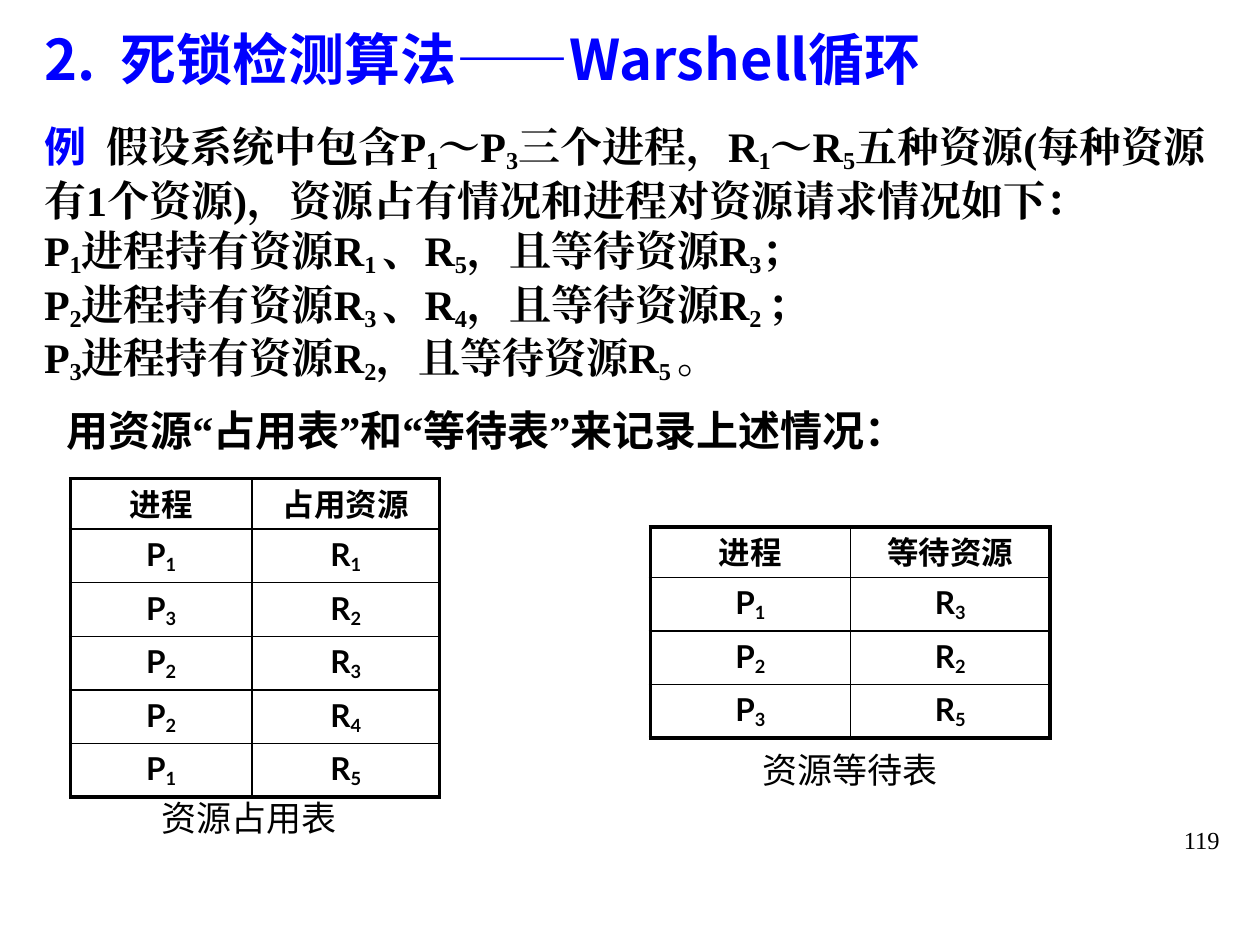
from lxml.etree import SubElement
from pptx import Presentation
from pptx.dml.color import RGBColor
from pptx.enum.text import MSO_ANCHOR, PP_ALIGN
from pptx.oxml.ns import qn
from pptx.util import Cm, Pt

BLACK = "000000"
BLUE = "0000FF"
SERIF = "Times New Roman"
SANS = "Lato"
HEADING = "Noto Sans CJK SC"
SUBSCRIPT = {"baseline": -16000}


def color(value):
    return RGBColor.from_string(value)


def add_run(paragraph, text, font=SANS, size=18, fill=BLACK, bold=False, baseline=0):
    run = paragraph.add_run()
    run.text = text
    run.font.name = font
    run.font.size = Pt(size)
    run.font.bold = bold
    run.font.color.rgb = color(fill)
    properties = run._r.get_or_add_rPr()
    SubElement(properties, qn("a:ea")).set("typeface", font)
    if baseline:
        properties.set("baseline", str(baseline))


def write(frame, lines, lead="", align=PP_ALIGN.LEFT, marked=SUBSCRIPT, **style):
    """Every second piece between bars takes the marked format."""
    for number, line in enumerate(lines):
        paragraph = frame.paragraphs[0] if number == 0 else frame.add_paragraph()
        paragraph.alignment = align
        if lead and number == 0:
            add_run(paragraph, lead, **{**style, "font": SANS, "fill": BLUE})
        for index, piece in enumerate(line.split("|")):
            if piece:
                add_run(paragraph, piece, **{**style, **(marked if index % 2 else {})})


def add_text(slide, left, top, width, height, lines, anchor=MSO_ANCHOR.TOP, **style):
    frame = slide.shapes.add_textbox(Cm(left), Cm(top), Cm(width), Cm(height)).text_frame
    frame.word_wrap = True
    frame.vertical_anchor = anchor
    write(frame, lines, **style)


def set_borders(cell, widths):
    properties = cell._tc.get_or_add_tcPr()
    for position, (side, width) in enumerate(widths.items()):
        line = SubElement(properties, qn(f"a:{side}"), w=str(Pt(width)))
        fill = SubElement(line, qn("a:solidFill"))
        SubElement(fill, qn("a:srgbClr"), val=BLACK)
        properties.remove(line)
        properties.insert(position, line)


def add_resource_table(slide, left, top, column_widths, rows):
    header_height, body_height = 1.0, 1.08
    height = header_height + body_height * (len(rows) - 1)
    table = slide.shapes.add_table(
        len(rows), 2, Cm(left), Cm(top), Cm(sum(column_widths)), Cm(height)
    ).table
    table.first_row = False
    table.horz_banding = False
    for column, width in zip(table.columns, column_widths):
        column.width = Cm(width)
    for r, entries in enumerate(rows):
        table.rows[r].height = Cm(body_height if r else header_height)
        for c, entry in enumerate(entries):
            cell = table.cell(r, c)
            cell.fill.background()
            write(cell.text_frame, [entry], align=PP_ALIGN.CENTER, bold=True)
            outer = {"lnL": c == 0, "lnR": c == 1, "lnT": r == 0, "lnB": r == len(rows) - 1}
            set_borders(cell, {side: 2.25 if edge else 1 for side, edge in outer.items()})


def main():
    presentation = Presentation()
    presentation.slide_width = Cm(25.4)
    presentation.slide_height = Cm(19.05)
    slide = presentation.slides.add_slide(presentation.slide_layouts[6])

    add_text(slide, 19.56, 16.08, 5.28, 1.27, ["119"], anchor=MSO_ANCHOR.BOTTOM,
             align=PP_ALIGN.RIGHT, font=SERIF, size=14)
    add_text(slide, 0.64, 0.56, 23.95, 1.42, ["2.  死锁检测算法——Warshell循环"],
             anchor=MSO_ANCHOR.BOTTOM, font=HEADING, size=32, fill=BLUE, bold=True)
    example = [
        "假设系统中包含P|1|～P|3|三个进程，R|1|～R|5|五种资源(每种资源有1个资源)，"
        "资源占有情况和进程对资源请求情况如下：",
        "P|1|进程持有资源R|1 |、R|5|，且等待资源R|3|；",
        "P|2|进程持有资源R|3 |、R|4|，且等待资源R|2 |；",
        "P|3|进程持有资源R|2|，且等待资源R|5 |。",
    ]
    add_text(slide, 0.64, 2.31, 24.31, 5.38, example, lead="例  ",
             font=SERIF, size=24, bold=True)
    add_text(slide, 1.09, 8.03, 22.1, 1.27,
             ["用资源|“|占用表|”|和|“|等待表|”|来记录上述情况："],
             marked={"font": SERIF}, size=24, bold=True)

    holdings = [("进程", "占用资源"), ("P|1", "R|1"), ("P|3", "R|2"),
                ("P|2", "R|3"), ("P|2", "R|4"), ("P|1", "R|5")]
    waits = [("进程", "等待资源"), ("P|1", "R|3"), ("P|2", "R|2"), ("P|3", "R|5")]
    add_resource_table(slide, 1.42, 9.65, (3.66, 3.78), holdings)
    add_resource_table(slide, 13.11, 10.62, (4.03, 4.03), waits)

    add_text(slide, 2.03, 15.93, 5.99, 1.09, ["资源占用表"], align=PP_ALIGN.CENTER, size=20)
    add_text(slide, 12.98, 14.96, 8.31, 1.09, ["资源等待表"], align=PP_ALIGN.CENTER, size=20)

    presentation.save("out.pptx")


if __name__ == "__main__":
    main()
